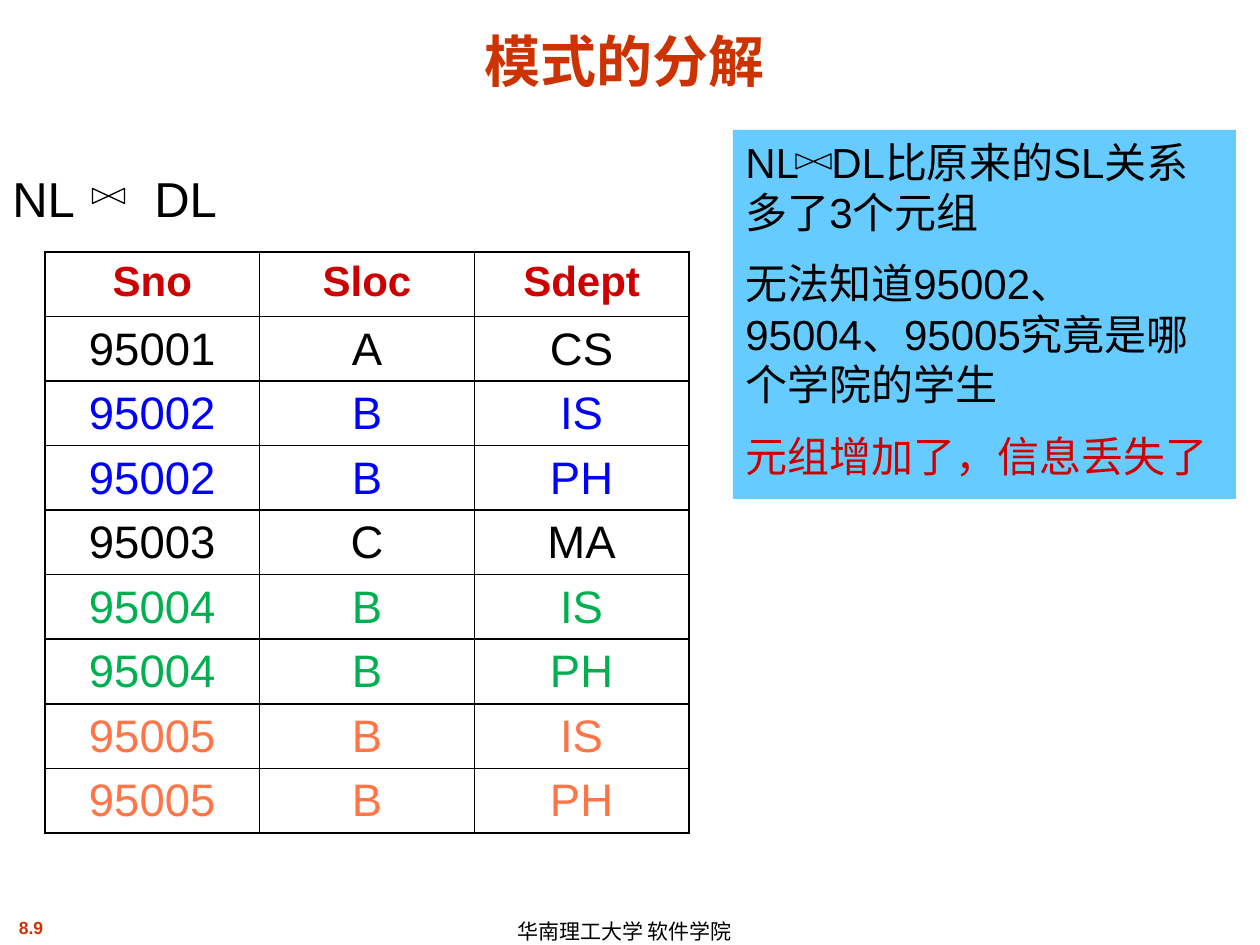
from lxml.etree import SubElement as Sub
from pptx import Presentation
from pptx.dml.color import RGBColor as Rgb
from pptx.enum.shapes import MSO_SHAPE as Shape
from pptx.enum.text import MSO_ANCHOR as Anchor, PP_ALIGN as Align
from pptx.oxml.ns import qn
from pptx.util import Emu, Pt

SCALE = 914400 // 126
FONT = "Arial"
BLACK = Rgb(0, 0, 0)
WHITE = Rgb(255, 255, 255)
RUST = Rgb(0xCC, 0x33, 0x00)
RED = Rgb(0xCC, 0, 0)
SKY = Rgb(0x66, 0xCC, 0xFF)
BLUE = Rgb(0, 0, 255)
GREEN = Rgb(0, 0xB0, 0x50)
CORAL = Rgb(0xFF, 0x75, 0x47)

HEAD = ("Sno", "Sloc", "Sdept")
ROWS = (
    ("95001", "A", "CS", BLACK),
    ("95002", "B", "IS", BLUE),
    ("95002", "B", "PH", BLUE),
    ("95003", "C", "MA", BLACK),
    ("95004", "B", "IS", GREEN),
    ("95004", "B", "PH", GREEN),
    ("95005", "B", "IS", CORAL),
    ("95005", "B", "PH", CORAL),
)


def px(num):
    return Emu(num * SCALE)


def write(frame, text, size=24, color=BLACK, bold=False, align=Align.LEFT,
          anchor=Anchor.TOP, line=None, gap=0, tab=None, more=False):
    frame.word_wrap = True
    frame.vertical_anchor = anchor
    para = frame.add_paragraph() if more else frame.paragraphs[0]
    para.alignment = align
    if line:
        para.line_spacing = line
    para.space_before = Pt(gap)
    if tab:
        stops = Sub(para._p.get_or_add_pPr(), qn("a:tabLst"))
        Sub(stops, qn("a:tab"), pos=str(px(tab)), algn="l")
    run = para.add_run()
    run.text = text
    font = run.font
    font.name, font.size, font.bold = FONT, Pt(size), bold
    font.color.rgb = color


def label(slide, box, text, **form):
    frame = slide.shapes.add_textbox(*map(px, box)).text_frame
    write(frame, text, **form)


def bowtie(slide, box, fill=None):
    tie = slide.shapes.add_shape(Shape.FLOWCHART_COLLATE, *map(px, box))
    tie.rotation = 90
    tie.shadow.inherit = False
    if fill is None:
        tie.fill.background()
    else:
        tie.fill.solid()
        tie.fill.fore_color.rgb = fill
    tie.line.color.rgb = BLACK
    tie.line.width = Pt(0.75)


def join(slide, box):
    left, top, _, _ = box
    label(slide, box, "NL\tDL", size=28, align=Align.JUSTIFY, line=0.9,
          tab=142)
    bowtie(slide, (left + 101, top + 11, 15, 32), WHITE)


def panel(slide, box):
    left, top, _, _ = box
    rect = slide.shapes.add_shape(Shape.RECTANGLE, *map(px, box))
    rect.shadow.inherit = False
    rect.fill.solid()
    rect.fill.fore_color.rgb = SKY
    rect.line.fill.background()
    frame = rect.text_frame
    write(frame, "NL\tDL比原来的SL关系多了3个元组", tab=86)
    write(frame, "无法知道95002、95004、95005究竟是哪个学院的学生",
          gap=12, more=True)
    write(frame, "元组增加了，信息丢失了", color=RED, gap=12, more=True)
    bowtie(slide, (left + 73, top + 14, 15, 35))


def border(cell):
    props = cell._tc.get_or_add_tcPr()
    for side in ("lnL", "lnR", "lnT", "lnB"):
        edge = Sub(props, qn("a:" + side), w=str(Pt(1)))
        fill = Sub(edge, qn("a:solidFill"))
        Sub(fill, qn("a:srgbClr"), val=str(BLACK))


def paint(cell, text, **form):
    border(cell)
    cell.fill.solid()
    cell.fill.fore_color.rgb = WHITE
    write(cell.text_frame, text, align=Align.CENTER, **form)


def grid(slide, box):
    _, _, width, height = box
    count = len(ROWS) + 1
    table = slide.shapes.add_table(count, len(HEAD), *map(px, box)).table
    for col in table.columns:
        col.width = px(width) // len(HEAD)
    for row in table.rows:
        row.height = px(height) // count
    for col, text in enumerate(HEAD):
        paint(table.cell(0, col), text, color=RED, bold=True)
    for num, (*texts, color) in enumerate(ROWS, 1):
        for col, text in enumerate(texts):
            cell = table.cell(num, col)
            cell.margin_left = cell.margin_right = cell.margin_top = px(1)
            cell.margin_bottom = 0
            paint(cell, text, size=26, color=color)
            cell.vertical_anchor = Anchor.MIDDLE


def footer(slide, box):
    left, top, _, height = box
    label(slide, (left, top, 62, height), "8.9", size=10, color=RUST,
          bold=True, align=Align.CENTER)
    label(slide, (left + 505, top + 3, 282, height - 3),
          "华南理工大学 软件学院", size=12, line=1.1, anchor=Anchor.MIDDLE)


def main():
    deck = Presentation()
    deck.slide_width, deck.slide_height = px(1260), px(945)
    slide = deck.slides.add_slide(deck.slide_layouts[6])
    label(slide, (31, 16, 1187, 84), "模式的分解", size=32, color=RUST,
          bold=True, align=Align.CENTER, anchor=Anchor.BOTTOM)
    join(slide, (0, 169, 281, 83))
    panel(slide, (733, 130, 503, 369))
    grid(slide, (45, 252, 644, 581))
    footer(slide, (0, 911, 1260, 34))
    deck.save("out.pptx")


if __name__ == "__main__":
    main()
